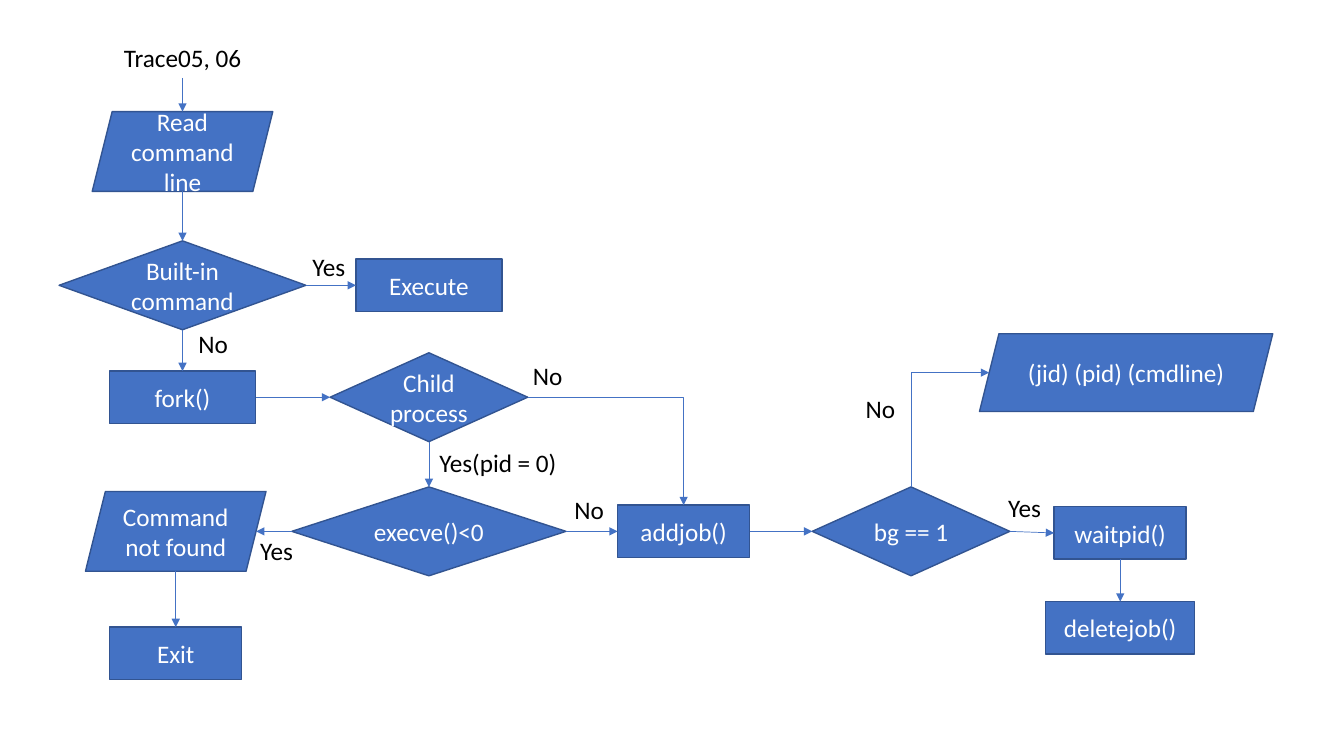
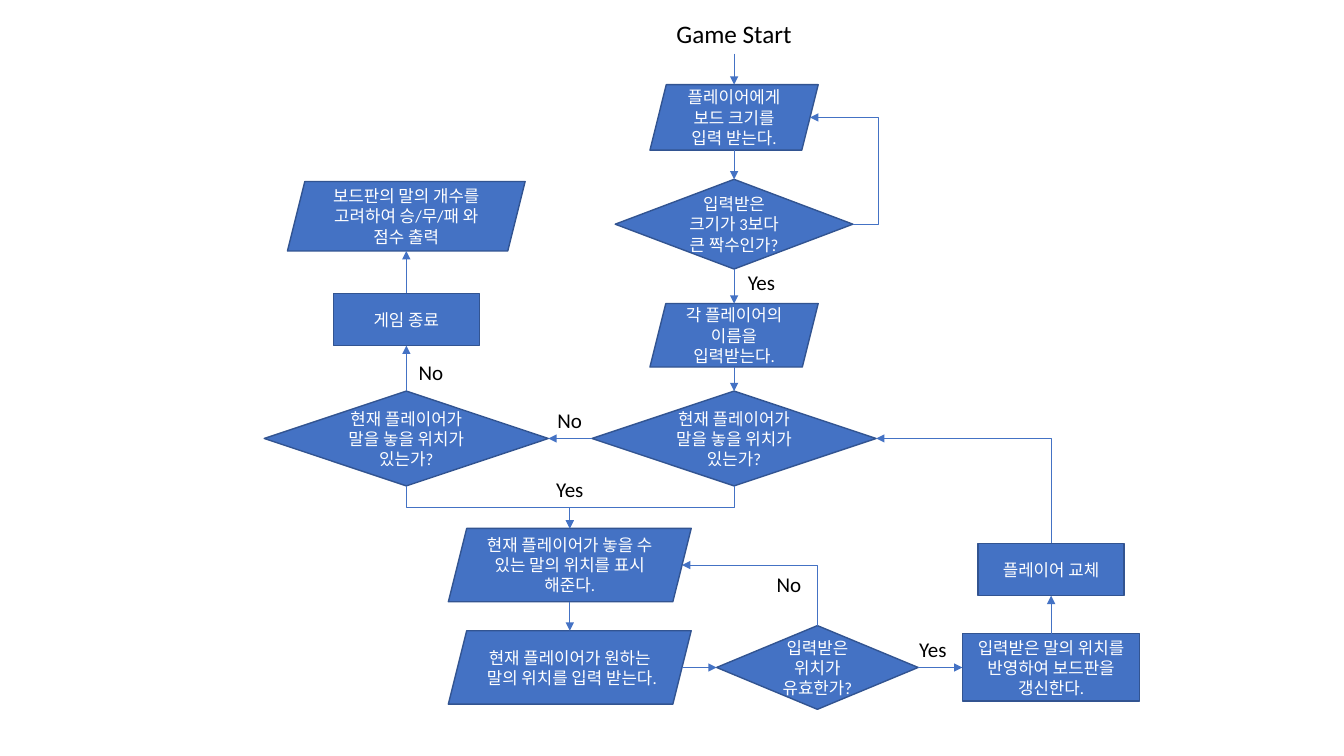
from dataclasses import dataclass

from lxml import etree
from pptx import Presentation
from pptx import util as u
from pptx.dml.color import RGBColor
from pptx.enum import shapes, text
from pptx.oxml import ns


@dataclass(frozen=True)
class Theme:
    """Colours, type sizes and line widths shared by all slides."""
    font: str = "Calibri"
    fill: str = "4472C4"
    edge: str = "325491"
    ink: str = "000000"
    pale: str = "FFFFFF"
    large: int = 18
    mid: int = 15
    small: int = 12
    rim: float = 1
    wire: float = 0.5


T = Theme()
KIND = shapes.MSO_SHAPE
FORM = {"box": KIND.RECTANGLE, "data": KIND.PARALLELOGRAM, "test": KIND.FLOWCHART_DECISION}
SIDE = {"t": (0, -0.5), "l": (-0.5, 0), "b": (0, 0.5), "r": (0.5, 0)}
SITE = {"box": dict(t=0, l=1, b=2, r=3), "data": dict(t=0, l=2, b=4, r=5)}
SLANT = 0.125


def color(code):
    """Turn a hex code into a colour."""
    return RGBColor.from_string(code)


def child(node, tag, **attrs):
    """Append a drawing element to a node."""
    part = etree.SubElement(node, ns.qn("a:" + tag))
    for key, val in attrs.items():
        part.set(key, str(val))
    return part


def write(frame, words, size, ink):
    """Write one centred run into a text frame."""
    frame.word_wrap = True
    para = frame.paragraphs[0]
    para.alignment = text.PP_ALIGN.CENTER
    run = para.add_run()
    run.text = words
    run.font.name = T.font
    run.font.size = u.Pt(size)
    run.font.color.rgb = color(ink)


def place(box, mid, size):
    """Give left, top, width and height of a part centred in a box."""
    spots = [o + m - s / 2 for o, m, s in zip(box, mid, size)]
    return [u.Cm(v) for v in (*spots, *size)]


def label(slide, box, words, mid, size, pt):
    """Add a plain caption around its centre."""
    area = slide.shapes.add_textbox(*place(box, mid, size))
    frame = area.text_frame
    frame.margin_left = frame.margin_right = 0
    write(frame, words, pt, T.ink)
    return area


def step(slide, box, kind, words, mid, size, pt):
    """Add a filled flow step around its centre."""
    form = slide.shapes.add_shape(FORM[kind], *place(box, mid, size))
    form.shadow.inherit = False
    form.fill.solid()
    form.fill.fore_color.rgb = color(T.fill)
    form.line.color.rgb = color(T.edge)
    form.line.width = u.Pt(T.rim)
    form.text_frame.vertical_anchor = text.MSO_ANCHOR.MIDDLE
    write(form.text_frame, words, pt, T.pale)
    return form


def port(node, side):
    """Find where a link meets one side of a step."""
    kind, form = node
    dx, dy = SIDE[side]
    inset = form.height * SLANT * 2 if kind == "data" else 0
    return (form.left + form.width / 2 + dx * (form.width - inset),
            form.top + form.height * (0.5 + dy))


def link(slide, nodes, start, out, stop, into, bend=None):
    """Join two steps by a straight or elbow arrow."""
    x, y = port(nodes[start], out)
    ex, ey = port(nodes[stop], into)
    corner = (out in "tb") != (into in "tb")
    elbow = corner or bend is not None
    turn = 0
    if elbow and out in "tb":
        turn = 90 if out == "b" else 270
        wide, high = abs(ey - y), abs(ex - x)
        flip = -1 if (ex > x) == (out == "b") else 1
        cx, cy = (x + ex) / 2, (y + ey) / 2
        x, ex = cx - wide / 2, cx + wide / 2
        y, ey = cy - flip * high / 2, cy + flip * high / 2
    style = shapes.MSO_CONNECTOR.ELBOW if elbow else shapes.MSO_CONNECTOR.STRAIGHT
    wire = slide.shapes.add_connector(style, *[u.Emu(round(v)) for v in (x, y, ex, ey)])
    wire.line.color.rgb = color(T.fill)
    wire.line.width = u.Pt(T.wire)
    props = wire._element.spPr
    child(props.find(ns.qn("a:ln")), "tailEnd", type="triangle")
    child(props, "effectLst")
    if turn:
        props.find(ns.qn("a:xfrm")).set("rot", str(turn * 60000))
    geom = props.find(ns.qn("a:prstGeom"))
    if corner:
        geom.set("prst", "bentConnector2")
    elif elbow:
        child(geom.find(ns.qn("a:avLst")), "gd", name="adj1", fmla=f"val {round(bend * 100000)}")
    glue = wire._element.find(".//" + ns.qn("p:cNvCxnSpPr"))
    for tag, name, side in (("stCxn", start, out), ("endCxn", stop, into)):
        kind, form = nodes[name]
        site = SITE.get(kind, SITE["box"])[side]
        child(glue, tag, id=form.shape_id, idx=site)


def flow(deck, box, head, steps, links, notes, pt, note):
    """Build a flow chart slide from its steps, links and captions."""
    slide = deck.slides.add_slide(deck.slide_layouts[6])
    nodes = {"start": ("text", label(slide, box, *head, T.large))}
    for name, kind, *rest in steps:
        nodes[name] = (kind, step(slide, box, kind, *rest, pt))
    for row in links:
        link(slide, nodes, *row)
    for words, mid, wide in notes:
        label(slide, box, words, mid, (wide, 1.02), note)


def shell(deck):
    """Chart how the shell runs a command line."""
    a, b, c, d, e = 3.1, 9.31, 15.73, 21.46, 26.73
    low = 12.39
    box, data, test = (3.68, 1.32), (4.55, 2.01), (4.98, 2.24)
    slim = (3.33, 1.32)
    steps = [
        ("read", "data", "Read command line", (a, 2.82), data),
        ("built", "test", "Built-in command", (a, 6.19), (6.22, 2.24)),
        ("run", "box", "Execute", (b, 6.19), box),
        ("fork", "box", "fork()", (a, 9.01), box),
        ("child", "test", "Child process", (b, 9.01), test),
        ("exec", "test", "execve()<0", (b, low), (6.91, 2.24)),
        ("miss", "data", "Command not found", (2.93, low), data),
        ("exit", "box", "Exit", (2.93, 15.46), slim),
        ("add", "box", "addjob()", (c, low), slim),
        ("back", "test", "bg == 1", (d, low), test),
        ("wait", "box", "waitpid()", (e, 12.43), slim),
        ("drop", "box", "deletejob()", (e, 14.82), (3.76, 1.32)),
        ("show", "data", "(jid) (pid) (cmdline)", (26.88, 8.39), (7.39, 1.96)),
    ]
    links = [
        ("start", "b", "read", "t"), ("read", "b", "built", "t"),
        ("built", "r", "run", "l"), ("built", "b", "fork", "t"),
        ("fork", "r", "child", "l"), ("child", "b", "exec", "t"),
        ("child", "r", "add", "t"), ("exec", "l", "miss", "r"),
        ("miss", "b", "exit", "t"), ("exec", "r", "add", "l"),
        ("add", "r", "back", "l"), ("back", "r", "wait", "l"),
        ("back", "t", "show", "l"), ("wait", "b", "drop", "t"),
    ]
    wide = 1.45
    notes = [
        ("Yes", (6.79, 5.73), wide), ("No", (3.87, 7.66), wide),
        ("Yes(pid = 0)", (11.05, 10.66), 3.56), ("No", (12.3, 8.47), wide),
        ("Yes", (5.47, 12.87), wide), ("No", (20.69, 9.29), wide),
        ("Yes", (24.32, 11.78), wide), ("No", (13.35, 11.85), wide),
    ]
    head = ("Trace05, 06", (a, 0.45), (4.85, 1.02))
    flow(deck, (1.5, 1), head, steps, links, notes, T.large, T.large)


def game(deck):
    """Chart the turns of the board game."""
    a, b, c, d, e = 3.74, 7.86, 12, 14.1, 19.99
    mid, low = 10.75, 16.52
    box, data, test = (3.68, 1.32), (6.12, 1.85), (7.16, 2.39)
    ask = "현재 플레이어가 말을 놓을 위치가 있는가?"
    steps = [
        ("size", "data", "플레이어에게 보드 크기를 입력 받는다.", (c, 2.66), (4.24, 1.65)),
        ("even", "test", "입력받은 크기가 3보다 큰 짝수인가?", (c, 5.35), (5.99, 2.26)),
        ("name", "data", "각 플레이어의 이름을 입력받는다.", (c, 8.15), (4.24, 1.6)),
        ("turn", "test", ask, (c, mid), test),
        ("next", "test", ask, (a, mid), test),
        ("end", "box", "게임 종료", (a, 7.75), box),
        ("score", "data", "보드판의 말의 개수를 고려하여 승/무/패 와 점수 출력", (a, 5.15), (5.99, 1.75)),
        ("show", "data", "현재 플레이어가 놓을 수 있는 말의 위치를 표시 해준다.", (b, 13.94), data),
        ("pick", "data", "현재 플레이어가 원하는 말의 위치를 입력 받는다.", (b, low), data),
        ("valid", "test", "입력받은 위치가 유효한가?", (d, low), (5.08, 2.11)),
        ("draw", "box", "입력받은 말의 위치를 반영하여 보드판을 갱신한다.", (e, low), (4.47, 1.7)),
        ("swap", "box", "플레이어 교체", (e, 14.05), box),
    ]
    links = [
        ("start", "b", "size", "t"), ("size", "b", "even", "t"),
        ("even", "r", "size", "r", -0.59), ("even", "b", "name", "t"),
        ("name", "b", "turn", "t"), ("turn", "l", "next", "r"),
        ("next", "t", "end", "b"), ("end", "t", "score", "b"),
        ("next", "b", "show", "t", 0.5), ("turn", "b", "show", "t", 0.5),
        ("show", "b", "pick", "t"), ("pick", "r", "valid", "l"),
        ("valid", "t", "show", "r"), ("valid", "r", "draw", "l"),
        ("draw", "t", "swap", "b"), ("swap", "t", "turn", "r"),
    ]
    wide = 1.45
    notes = [
        ("Yes", (12.69, 6.88), wide), ("No", (13.38, 14.48), wide),
        ("No", (b, 10.36), wide), ("No", (4.36, 9.15), wide),
        ("Yes", (b, 12.09), wide), ("Yes", (17.01, 16.13), wide),
    ]
    head = ("Game Start", (c, 0.54), (3.51, 1.02))
    flow(deck, (6.5, 0.3), head, steps, links, notes, T.small, T.mid)


def main():
    """Build and save the deck."""
    deck = Presentation()
    deck.slide_width, deck.slide_height = u.Cm(33.87), u.Cm(19.05)
    shell(deck)
    game(deck)
    deck.save("out.pptx")


main()
